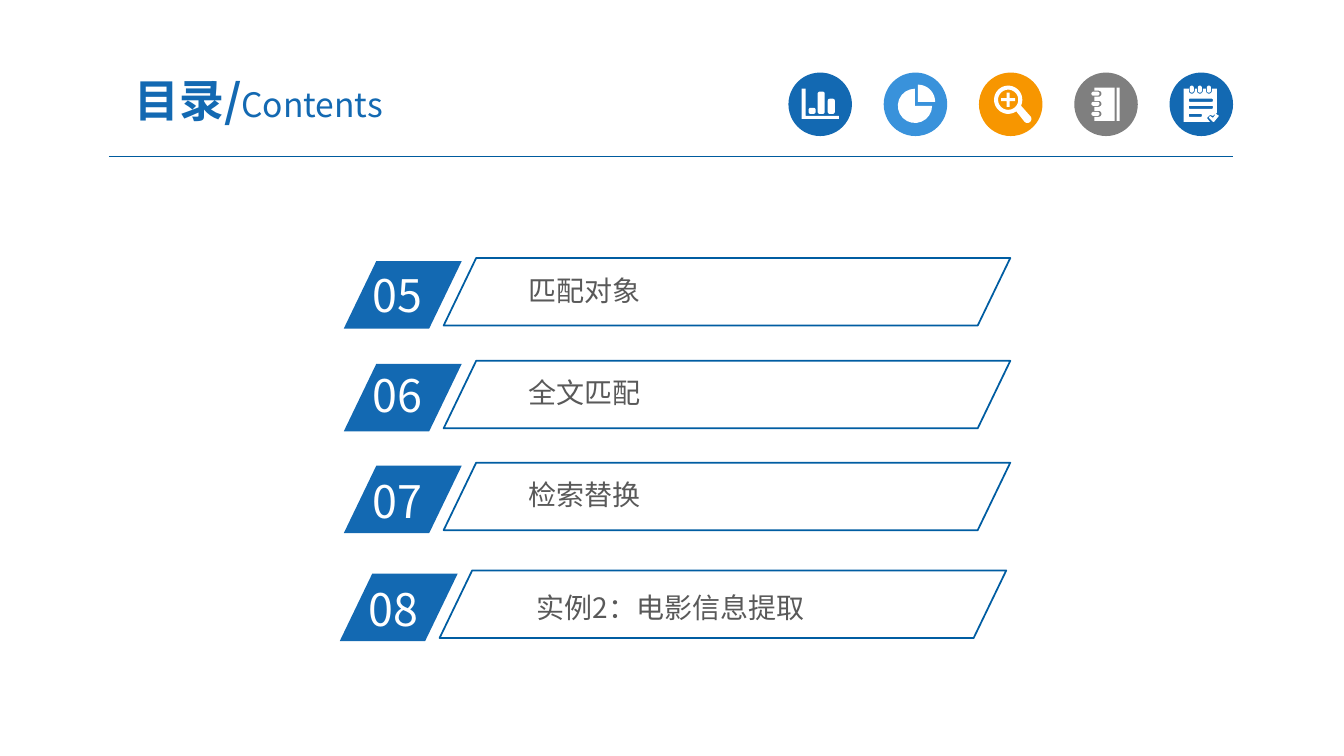
from math import cos, radians, sin

from lxml import etree
from pptx import Presentation
from pptx.dml.color import RGBColor
from pptx.enum import shapes, text
from pptx.oxml.ns import qn
from pptx.util import Inches, Pt

BLUE = RGBColor(0x13, 0x69, 0xB2)
SKY = RGBColor(0x39, 0x92, 0xDB)
ORANGE = RGBColor(0xF7, 0x96, 0x00)
GRAY = RGBColor(0x7F, 0x7F, 0x7F)
RULE = RGBColor(0x00, 0x5B, 0x9E)
OUTLINE = RGBColor(0x00, 0x5D, 0xA2)
INK = RGBColor(0x59, 0x59, 0x59)
WHITE = RGBColor(0xFF, 0xFF, 0xFF)
FONT = "Noto Sans CJK SC"


# Text and shapes
def set_font(font, size, color, bold=False):
    font.name, font.size, font.bold = FONT, Pt(size), bold
    font.color.rgb = color


def add_text(s, box, runs, margins=(0.1, 0.05), align=None, anchor=None):
    """runs is a list of (text, size, color, bold)."""
    tf = s.shapes.add_textbox(*map(Inches, box)).text_frame
    tf.word_wrap = True
    tf.margin_left = tf.margin_right = Inches(margins[0])
    tf.margin_top = tf.margin_bottom = Inches(margins[1])
    tf.vertical_anchor = anchor
    p = tf.paragraphs[0]
    p.alignment = align
    for words, *style in runs:
        r = p.add_run()
        r.text = words
        set_font(r.font, *style)
        # East Asian characters use the same font
        etree.SubElement(r.font._element, qn("a:ea"), typeface=FONT)


def paint(sp, fill=None, line=None):
    sp.shadow.inherit = False
    if fill is None:
        sp.fill.background()
    else:
        sp.fill.solid()
        sp.fill.fore_color.rgb = fill
    if line is None:
        sp.line.fill.background()
    else:
        sp.line.color.rgb = line
        sp.line.width = Pt(1.25)


def add_slanted(s, x, y, w, fill=None, line=None):
    sp = s.shapes.add_shape(shapes.MSO_SHAPE.PARALLELOGRAM,
                            Inches(x), Inches(y), Inches(w), Inches(0.67))
    sp.adjustments[0] = 0.482
    paint(sp, fill, line)


# Outlines, in inches from the top left of an icon's disc
def arc(cx, cy, r, start, end, steps=16):
    angles = [radians(start + (end - start) * i / steps) for i in range(steps + 1)]
    return [(cx + r * cos(a), cy + r * sin(a)) for a in angles]


def rounded(x0, y0, x1, y1, r):
    return (arc(x1 - r, y1 - r, r, 0, 90, 6) + arc(x0 + r, y1 - r, r, 90, 180, 6)
            + arc(x0 + r, y0 + r, r, 180, 270, 6) + arc(x1 - r, y0 + r, r, 270, 360, 6))


def bar_chart():
    axes = [(0.13, 0.16), (0.17, 0.16), (0.17, 0.43), (0.5, 0.43), (0.5, 0.46), (0.13, 0.46)]
    bars = [(0.2, 0.35), (0.29, 0.19), (0.39, 0.26)]
    return [axes] + [rounded(x, y, x + 0.07, 0.41, 0.02) for x, y in bars]


def pie_chart():
    return [[(0.34, 0.29)] + arc(0.34, 0.29, 0.17, -90, 0),
            [(0.31, 0.33)] + arc(0.31, 0.33, 0.17, 0, 270)]


def magnifier():
    cx, cy, a, b = 0.29, 0.27, 0.07, 0.015
    lens = arc(cx, cy, 0.14, 55, 385, 40) + arc(0.48, 0.46, 0.04, -45, 135)
    plus = [(a, -b), (a, b), (b, b), (b, a), (-b, a), (-b, b),
            (-a, b), (-a, -b), (-b, -b), (-b, -a), (b, -a), (b, -b)]
    return [lens, arc(cx, cy, 0.1, 0, 360, 40), [(cx + x, cy + y) for x, y in plus]]


def notebook():
    rings = (0.41, 0.31, 0.21)
    cover = [(0.2, 0.15), (0.4, 0.15), (0.4, 0.48), (0.2, 0.48)]
    for y in rings:
        cover += [(0.2, y + 0.03)] + arc(0.24, y, 0.03, 90, -90) + [(0.2, y - 0.03)]
    spine = [(0.42, 0.15), (0.45, 0.15), (0.45, 0.48), (0.42, 0.48)]
    return [cover, spine] + [rounded(0.17, y - 0.02, 0.25, y + 0.02, 0.02) for y in rings]


def notepad():
    rings = (0.22, 0.3, 0.39)
    page = [(0.14, 0.16)]
    for x in rings:
        page += [(x - 0.03, 0.16)] + arc(x, 0.18, 0.03, 180, 0) + [(x + 0.03, 0.16)]
    page += [(0.47, 0.16), (0.47, 0.4), (0.43, 0.43), (0.4, 0.42),
             (0.37, 0.45), (0.4, 0.49), (0.14, 0.49)]
    tick = [(0.39, 0.45), (0.4, 0.43), (0.43, 0.45), (0.46, 0.41),
            (0.49, 0.43), (0.44, 0.49), (0.43, 0.49)]
    lines = [(0.43, 0.26), (0.43, 0.33), (0.32, 0.41)]
    return ([page, tick] + [rounded(0.19, y, x, y + 0.03, 0.01) for x, y in lines]
            + [rounded(x - 0.02, 0.13, x + 0.02, 0.2, 0.02) for x in rings])


def add_icon(s, x, y, color, outlines):
    disc = s.shapes.add_shape(shapes.MSO_SHAPE.OVAL,
                              Inches(x), Inches(y), Inches(0.63), Inches(0.63))
    paint(disc, color)
    contours = [[(Inches(x + dx), Inches(y + dy)) for dx, dy in o] for o in outlines]
    builder = s.shapes.build_freeform(*contours[0][0], scale=1.0)
    for i, points in enumerate(contours):
        if i:
            builder.move_to(*points[0])
        builder.add_line_segments(points[1:], close=True)
    paint(builder.convert_to_shape(), WHITE)


def add_header(s):
    rule = s.shapes.add_connector(shapes.MSO_CONNECTOR.STRAIGHT,
                                  Inches(1.08), Inches(1.55), Inches(12.23), Inches(1.55))
    rule.line.color.rgb = RULE
    rule.line.width = Pt(0.75)
    etree.SubElement(rule._element.spPr, qn("a:effectLst"))
    icons = [(BLUE, bar_chart), (SKY, pie_chart), (ORANGE, magnifier),
             (GRAY, notebook), (BLUE, notepad)]
    for i, (color, outlines) in enumerate(icons):
        add_icon(s, 7.82 + 0.945 * i, 0.72, color, outlines())
    add_text(s, (0.92, 0.63, 3.29, 0.72),
             [("目录/", 32, BLUE, True), ("Contents", 24, BLUE, False)],
             (0.13, 0.07), text.PP_ALIGN.CENTER, text.MSO_ANCHOR.MIDDLE)


def add_entry(s, number, label, x, y, number_y, label_x, label_y):
    add_slanted(s, x, y, 1.17, fill=BLUE)
    add_text(s, (x + 0.19, number_y, 1.12, 0.64), [(number, 32, WHITE)])
    add_text(s, (label_x, label_y, 4.12, 0.41), [(label, 20, INK)], (0.07, 0.04))
    add_slanted(s, x + 0.99, y - 0.03, 5.62, line=OUTLINE)


def main():
    prs = Presentation()
    prs.slide_width, prs.slide_height = Inches(13.33), Inches(7.5)
    s = prs.slides.add_slide(prs.slide_layouts[6])
    add_header(s)
    # Contents entries
    for entry in [("05", "匹配对象", 3.41, 2.59, 2.61, 5.17, 2.67),
                  ("06", "全文匹配", 3.41, 3.61, 3.6, 5.17, 3.68),
                  ("07", "检索替换", 3.41, 4.62, 4.65, 5.17, 4.7),
                  ("08", "实例2：电影信息提取", 3.37, 5.69, 5.72, 5.25, 5.82)]:
        add_entry(s, *entry)
    prs.save("out.pptx")


if __name__ == "__main__":
    main()
